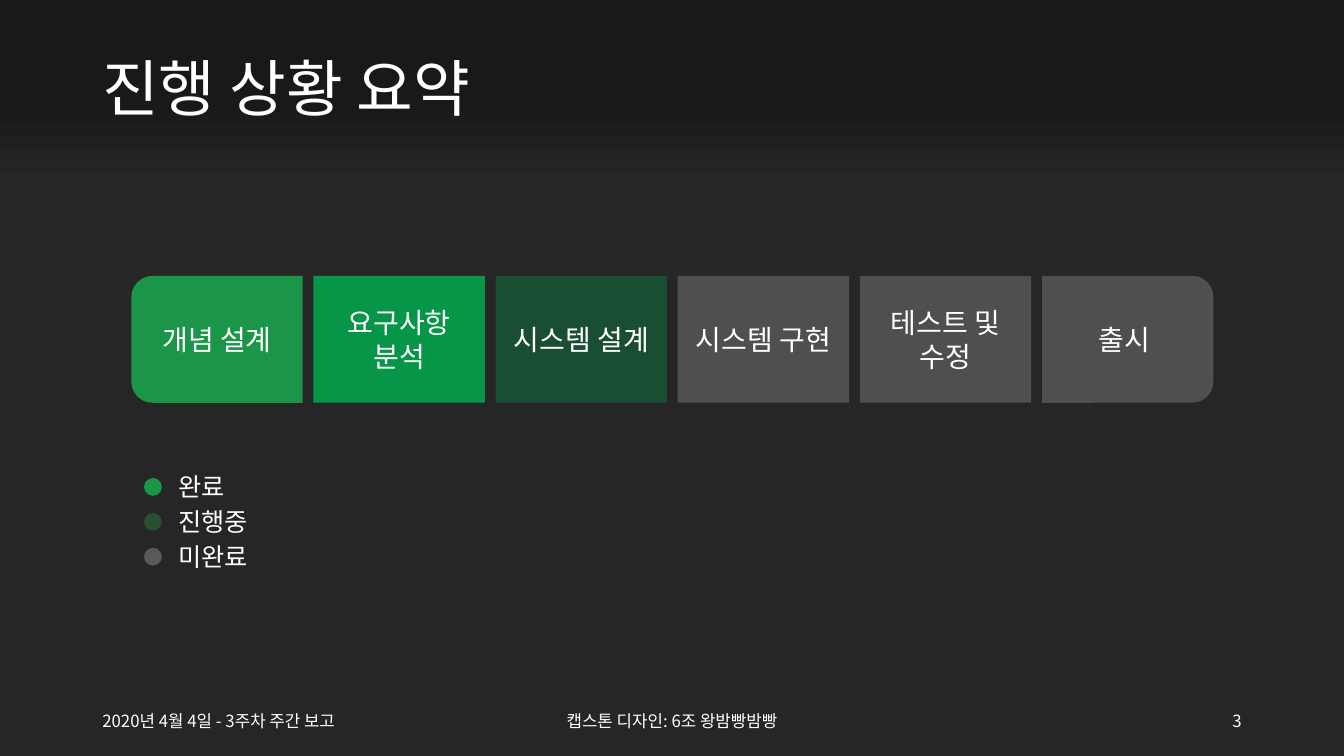
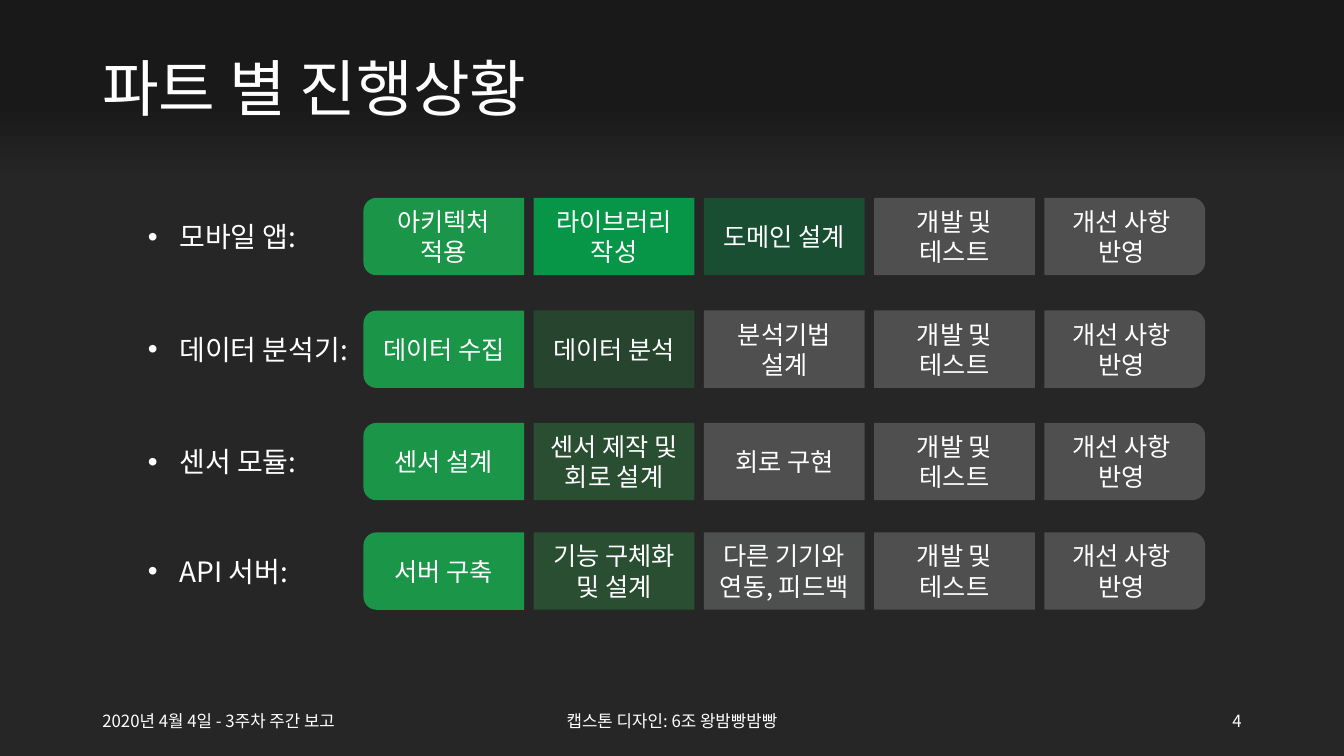
"""Build two dark progress-report slides with stage chains and a status legend."""
from dataclasses import dataclass

from lxml.etree import SubElement
from pptx import Presentation
from pptx.dml.color import RGBColor
from pptx.enum.shapes import MSO_SHAPE
from pptx.enum.text import MSO_ANCHOR, PP_ALIGN
from pptx.oxml.ns import qn
from pptx.util import Cm, Pt


@dataclass(frozen=True)
class Theme:
    font: str = "Noto Sans CJK KR"
    text: str = "FFFFFF"
    background: str = "262626"
    band: str = "191919"
    title_size: int = 44
    large_size: int = 20
    body_size: int = 18
    footer_size: int = 12


@dataclass(frozen=True)
class Chain:
    left: float
    pitch: float
    width: float
    height: float
    size: int


THEME = Theme()
PAGE_WIDTH, PAGE_HEIGHT = 33.87, 19.05
BAND_HEIGHT = 4.6

FILLS = {
    "done": ("1B9648", 100),
    "done bright": ("00B050", 81),
    "active": ("294E32", 100),
    "active clear": ("00B050", 29),
    "active soft": ("274B30", 81),
    "open": ("595959", 100),
    "open clear": ("595959", 81),
    "open solid": ("4F4F4F", 100),
    "open cool": ("4E4F4F", 100),
}

FOOTER_DATE = "2020년 4월 4일 - 3주차 주간 보고"
FOOTER_TEAM = "캡스톤 디자인: 6조 왕밤빵밤빵"

SUMMARY_TITLE = "진행 상황 요약"
SUMMARY_CENTER = 8.55
SUMMARY_CHAIN = Chain(3.31, 4.59, 4.32, 3.2, THEME.large_size)
SUMMARY_STAGES = [
    ("개념 설계", "done"),
    ("요구사항 분석", "done bright"),
    ("시스템 설계", "active clear"),
    ("시스템 구현", "open clear"),
    ("테스트 및 수정", "open clear"),
    ("출시", "open clear"),
]
LEGEND = [("완료", "done"), ("진행중", "active"), ("미완료", "open")]
LEGEND_CENTER, LEGEND_PITCH, DOT_SIZE = 12.27, 0.88, 0.45

PARTS_TITLE = "파트 별 진행상황"
PARTS_CHAIN = Chain(9.16, 4.29, 4.05, 1.95, THEME.body_size)
CLOSING_STAGES = [("개발 및 테스트", "open clear"), ("개선 사항 반영", "open clear")]
PARTS = [
    ("모바일 앱:", 5.96, [("아키텍처 적용", "done"), ("라이브러리 작성", "done bright"),
                      ("도메인 설계", "active clear")]),
    ("데이터 분석기:", 8.8, [("데이터 수집", "done"), ("데이터 분석", "active soft"),
                       ("분석기법 설계", "open solid")]),
    ("센서 모듈:", 11.63, [("센서 설계", "done"), ("센서 제작 및 회로 설계", "active"),
                       ("회로 구현", "open solid")]),
    ("API 서버:", 14.39, [("서버 구축", "done"), ("기능 구체화 및 설계", "active"),
                        ("다른 기기와 연동, 피드백", "open cool")]),
]
PART_LEFT, PART_INDENT = 3.48, 0.79
LAST_LABEL_SHIFT = -0.08


def add_text(page, text, left, top, width, height, size, align=PP_ALIGN.LEFT):
    box = page.shapes.add_textbox(Cm(left), Cm(top), Cm(width), Cm(height))
    frame = box.text_frame
    frame.word_wrap = True
    frame.vertical_anchor = MSO_ANCHOR.MIDDLE
    frame.text = text
    para = frame.paragraphs[0]
    para.alignment = align
    span = para.runs[0]
    span.font.size = Pt(size)
    span.font.color.rgb = RGBColor.from_string(THEME.text)
    span.font.name = THEME.font
    SubElement(span.font._element, qn("a:ea")).set("typeface", THEME.font)
    return box


def add_shape(page, kind, left, top, width, height):
    shape = page.shapes.add_shape(kind, Cm(left), Cm(top), Cm(width), Cm(height))
    shape.shadow.inherit = False
    shape.line.fill.background()
    return shape


def paint(shape, status):
    color, opacity = FILLS[status]
    shape.fill.solid()
    shape.fill.fore_color.rgb = RGBColor.from_string(color)
    if opacity < 100:
        node = shape._element.spPr.find(qn("a:solidFill")).find(qn("a:srgbClr"))
        SubElement(node, qn("a:alpha")).set("val", str(opacity * 1000))


def add_page(deck, title, number):
    page = deck.slides.add_slide(deck.slide_layouts[6])
    page.background.fill.solid()
    page.background.fill.fore_color.rgb = RGBColor.from_string(THEME.background)

    band = add_shape(page, MSO_SHAPE.RECTANGLE, 0, 0, PAGE_WIDTH, BAND_HEIGHT)
    band.fill.gradient()
    band.fill.gradient_angle = 270
    stops = [(0.55, THEME.band), (1, THEME.background)]
    for stop, (position, color) in zip(band.fill.gradient_stops, stops):
        stop.position = position
        stop.color.rgb = RGBColor.from_string(color)

    footers = [
        (FOOTER_DATE, 2.33, 7.62, PP_ALIGN.LEFT),
        (FOOTER_TEAM, 11.22, 11.43, PP_ALIGN.CENTER),
        (str(number), 23.92, 7.62, PP_ALIGN.RIGHT),
    ]
    for text, left, width, align in footers:
        add_text(page, text, left, 17.66, width, 1.01, THEME.footer_size, align)

    heading = add_text(page, title, 2.33, 0.71, 29.21, 3.2, THEME.title_size)
    heading.text_frame.paragraphs[0].line_spacing = 0.9
    return page


def add_chain(page, chain, stages, center):
    last = len(stages) - 1
    top = center - chain.height / 2
    for index, (text, status) in enumerate(stages):
        left = chain.left + index * chain.pitch
        if index in (0, last):
            inset = (chain.width - chain.height) / 2
            stage = add_shape(page, MSO_SHAPE.ROUND_2_SAME_RECTANGLE, left + inset,
                              top - inset, chain.height, chain.width)
            stage.rotation = 90 if index else 270
        else:
            stage = add_shape(page, MSO_SHAPE.RECTANGLE, left, top,
                              chain.width, chain.height)
        paint(stage, status)
        shift = LAST_LABEL_SHIFT if index == last else 0
        add_text(page, text, left + shift, top, chain.width, chain.height,
                 chain.size, PP_ALIGN.CENTER)


def add_legend(page):
    for index, (text, status) in enumerate(LEGEND):
        center = LEGEND_CENTER + index * LEGEND_PITCH
        dot = add_shape(page, MSO_SHAPE.OVAL, 3.63, center - DOT_SIZE / 2,
                        DOT_SIZE, DOT_SIZE)
        paint(dot, status)
        add_text(page, text, 4.24, center - 0.5, 3.05, 1, THEME.body_size)


def add_part_name(page, text, center):
    box = add_text(page, text, PART_LEFT, center - 0.6,
                   PARTS_CHAIN.left - PART_LEFT, 1.2, THEME.large_size)
    box.text_frame.margin_right = 0
    properties = box.text_frame.paragraphs[0]._p.get_or_add_pPr()
    properties.set("marL", str(Cm(PART_INDENT)))
    properties.set("indent", str(-Cm(PART_INDENT)))
    SubElement(properties, qn("a:buFont")).set("typeface", "Arial")
    SubElement(properties, qn("a:buChar")).set("char", "•")


def main():
    deck = Presentation()
    deck.slide_width, deck.slide_height = Cm(PAGE_WIDTH), Cm(PAGE_HEIGHT)

    summary = add_page(deck, SUMMARY_TITLE, 3)
    add_chain(summary, SUMMARY_CHAIN, SUMMARY_STAGES, SUMMARY_CENTER)
    add_legend(summary)

    parts = add_page(deck, PARTS_TITLE, 4)
    for name, center, stages in PARTS:
        add_chain(parts, PARTS_CHAIN, stages + CLOSING_STAGES, center)
        add_part_name(parts, name, center)

    deck.save("out.pptx")


if __name__ == "__main__":
    main()
